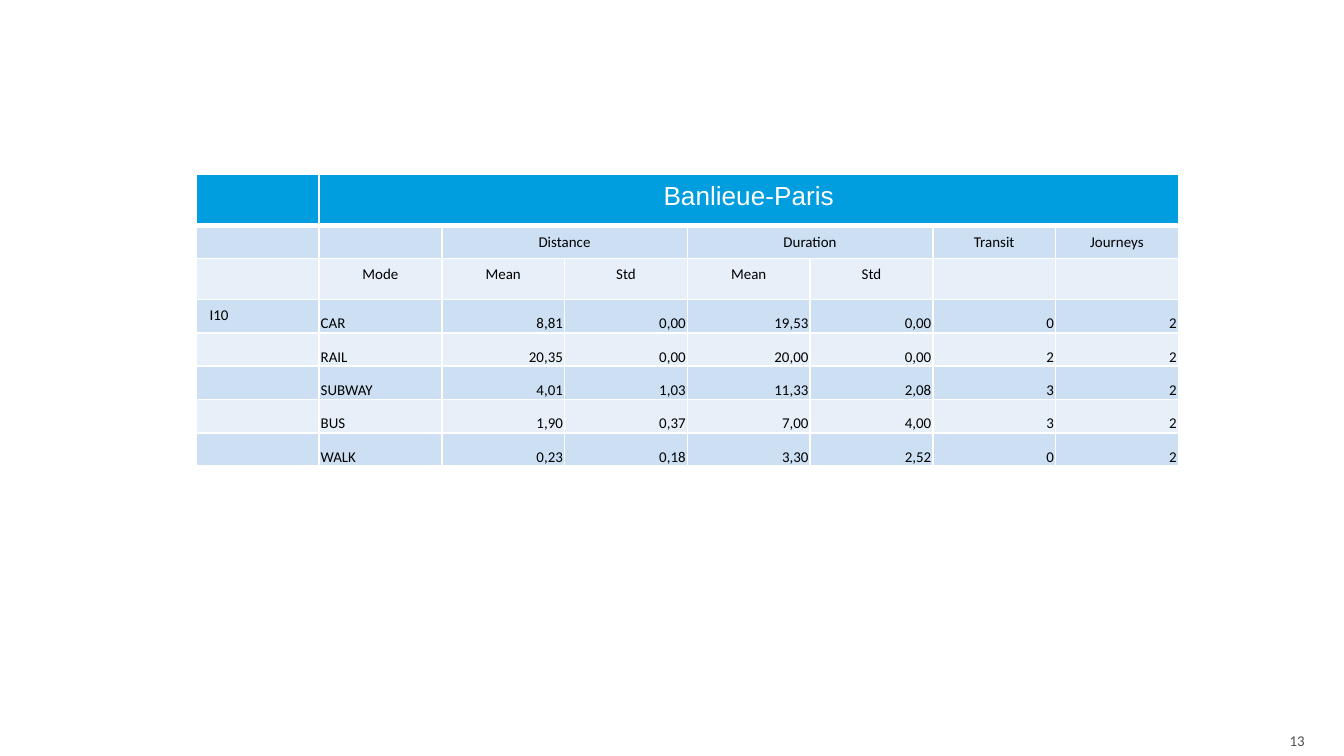
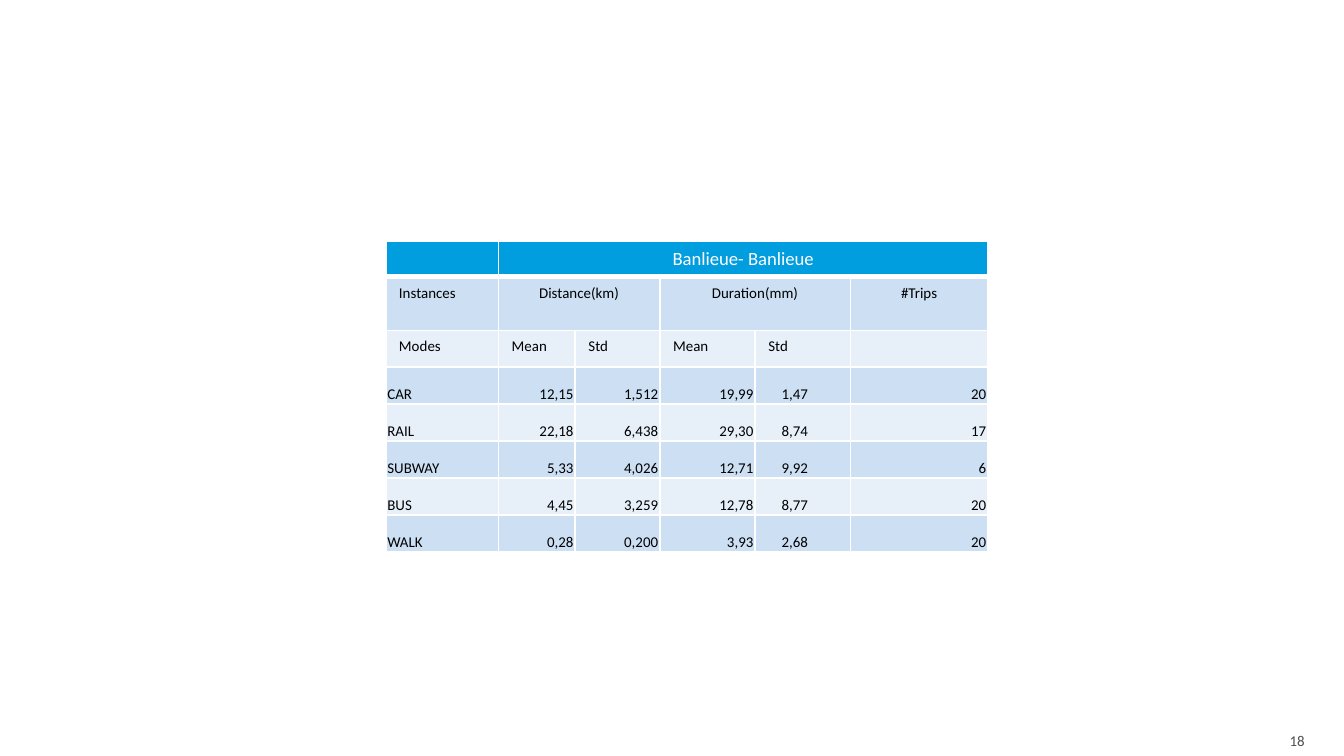
from lxml import etree
from pptx import Presentation
from pptx.dml.color import RGBColor
from pptx.enum.text import MSO_ANCHOR, PP_ALIGN
from pptx.oxml.ns import qn
from pptx.util import Cm, Pt

LEFT, CENTER, RIGHT = PP_ALIGN.LEFT, PP_ALIGN.CENTER, PP_ALIGN.RIGHT
TOP, MIDDLE, BOTTOM = MSO_ANCHOR.TOP, MSO_ANCHOR.MIDDLE, MSO_ANCHOR.BOTTOM

# Shared look
WHITE, BLACK, GREY = "FFFFFF", "000000", "4E4E4E"
HEADER_FILL = "009DDF"
BAND_FILLS = ("CCDFF3", "E7EFF9")
FONT, SIZE = "Calibri", 8
HEAD_ROWS = 3
THIN, THICK = 1, 3
LABEL_INSETS = {"margin_left": 0.25, "margin_right": 0.25,
                "margin_top": 0.13, "margin_bottom": 0.13}
VALUE_INSETS = {"margin_left": 0.03, "margin_right": 0.03,
                "margin_top": 0.03, "margin_bottom": 0}
NUMBER_INSETS = {"margin_left": 0.25, "margin_right": 0,
                 "margin_top": 0.13, "margin_bottom": 0.13}

# Table contents: a title, two heading rows, then the modes
PARIS_ROWS = [
    ["", "Banlieue-Paris", "", "", "", "", "", ""],
    ["", "", "Distance", "", "Duration", "", "Transit", "Journeys"],
    ["", "Mode", "Mean", "Std", "Mean", "Std", "", ""],
    ["I10", "CAR", "8,81", "0,00", "19,53", "0,00", "0", "2"],
    ["", "RAIL", "20,35", "0,00", "20,00", "0,00", "2", "2"],
    ["", "SUBWAY", "4,01", "1,03", "11,33", "2,08", "3", "2"],
    ["", "BUS", "1,90", "0,37", "7,00", "4,00", "3", "2"],
    ["", "WALK", "0,23", "0,18", "3,30", "2,52", "0", "2"],
]
SUBURB_ROWS = [
    ["", "Banlieue- Banlieue", "", "", "", ""],
    ["Instances", "Distance(km)", "", "Duration(mm)", "", "#Trips"],
    ["Modes", "Mean", "Std", "Mean", "Std", ""],
    ["CAR", "12,15", "1,512", "19,99", "1,47", "20"],
    ["RAIL", "22,18", "6,438", "29,30", "8,74", "17"],
    ["SUBWAY", "5,33", "4,026", "12,71", "9,92", "6"],
    ["BUS", "4,45", "3,259", "12,78", "8,77", "20"],
    ["WALK", "0,28", "0,200", "3,93", "2,68", "20"],
]


def color(hex_value):
    return RGBColor.from_string(hex_value)


def set_attributes(target, values):
    for name, value in values.items():
        setattr(target, name, value)


def set_insets(target, insets):
    set_attributes(target, {side: Cm(inset) for side, inset in insets.items()})


def write_text(paragraph, text, alignment, font=FONT, size=SIZE, ink=BLACK):
    paragraph.alignment = alignment
    if text:
        run = paragraph.add_run()
        run.text = text
        set_attributes(run.font, {"name": font, "size": Pt(size)})
        run.font.color.rgb = color(ink)
    else:
        # An empty cell keeps the small size, so its row does not grow
        end = etree.SubElement(paragraph._p, qn("a:endParaRPr"))
        end.set("sz", str(size * 100))


def set_borders(cell, top, bottom):
    properties = cell._tc.get_or_add_tcPr()
    for side, width in (("L", THIN), ("R", THIN), ("T", top), ("B", bottom)):
        line = etree.SubElement(properties, qn(f"a:ln{side}"), w=str(Pt(width)))
        fill = etree.SubElement(line, qn("a:solidFill"))
        etree.SubElement(fill, qn("a:srgbClr"), val=WHITE)


def add_page_number(slide, number):
    box = slide.shapes.add_textbox(Cm(22.35), Cm(13.69), Cm(2.31), Cm(0.61))
    frame = box.text_frame
    set_attributes(frame, {"word_wrap": True, "vertical_anchor": MIDDLE})
    set_insets(frame, NUMBER_INSETS)
    write_text(frame.paragraphs[0], str(number), RIGHT, ink=GREY)


def add_results_table(slide, left, top, widths, heights, rows, merges,
                      title_format, mode_column, left_headings=(), indented=None):
    """Draw a table; left_headings lists (row, column) of left-aligned headings."""
    frame = slide.shapes.add_table(len(rows), len(widths), Cm(left), Cm(top),
                                   Cm(sum(widths)), Cm(sum(heights)))
    table = frame.table
    set_attributes(table, {"first_row": False, "horz_banding": False})
    for column, width in zip(table.columns, widths):
        column.width = Cm(width)
    for row, height in zip(table.rows, heights):
        row.height = Cm(height)

    for r, texts in enumerate(rows):
        for c, text in enumerate(texts):
            cell = table.cell(r, c)
            is_value = r >= HEAD_ROWS and c >= mode_column
            set_borders(cell, THICK if r == 1 else THIN, THICK if r == 0 else THIN)
            cell.fill.solid()
            cell.fill.fore_color.rgb = color(BAND_FILLS[(r - 1) % 2] if r else HEADER_FILL)
            cell.vertical_anchor = BOTTOM if is_value else TOP
            set_insets(cell, VALUE_INSETS if is_value else LABEL_INSETS)
            if is_value and c == indented:
                cell.margin_left = Cm(0.5)
            if r < HEAD_ROWS:
                alignment = LEFT if (r, c) in left_headings else CENTER
            else:
                alignment = LEFT if c <= mode_column or c == indented else RIGHT
            write_text(cell.text_frame.paragraphs[0], text, alignment,
                       **({} if r or not text else title_format))

    for r, first, last in merges:
        table.cell(r, first).merge(table.cell(r, last))


def main():
    presentation = Presentation()
    presentation.slide_width, presentation.slide_height = Cm(25.4), Cm(14.29)
    blank = presentation.slide_layouts[6]

    # Suburb to Paris
    slide = presentation.slides.add_slide(blank)
    add_page_number(slide, 13)
    add_results_table(
        slide, 3.71, 3.3, [2.32] * 8, [0.97, 0.62, 0.77] + [0.63] * 5, PARIS_ROWS,
        merges=[(0, 1, 7), (1, 2, 3), (1, 4, 5)],
        title_format={"font": "Arial", "size": 14, "ink": WHITE}, mode_column=1)

    # Suburb to suburb
    slide = presentation.slides.add_slide(blank)
    add_page_number(slide, 18)
    add_results_table(
        slide, 7.29, 4.55, [2.13, 1.45, 1.6, 1.8, 1.8, 2.6],
        [0.68, 1.01, 0.69] + [0.7] * 5, SUBURB_ROWS,
        merges=[(0, 1, 5), (1, 1, 2), (1, 3, 4)],
        title_format={"size": 10, "ink": WHITE}, mode_column=0,
        left_headings=[(1, 0)] + [(2, c) for c in range(5)], indented=4)

    presentation.save("out.pptx")


if __name__ == "__main__":
    main()
